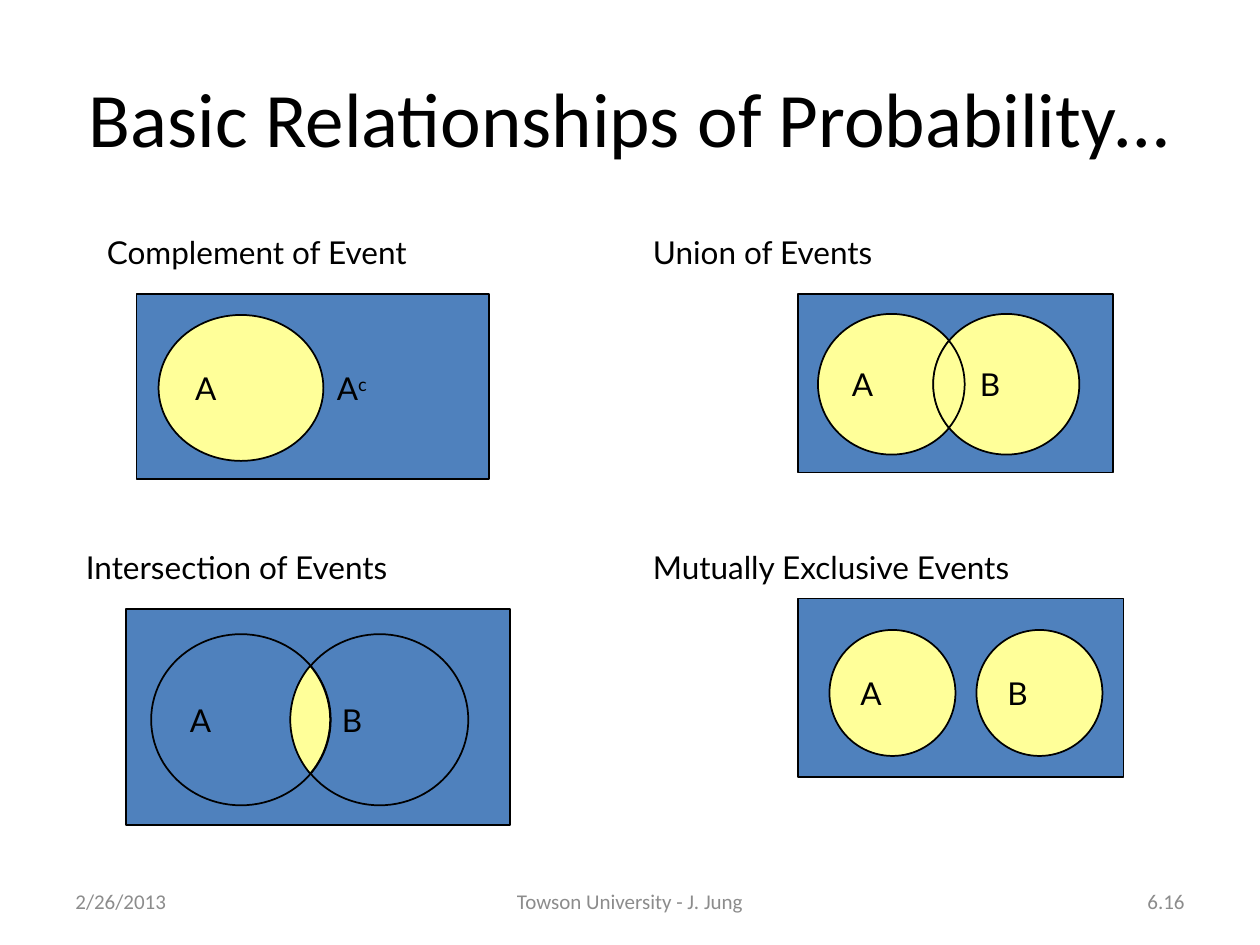
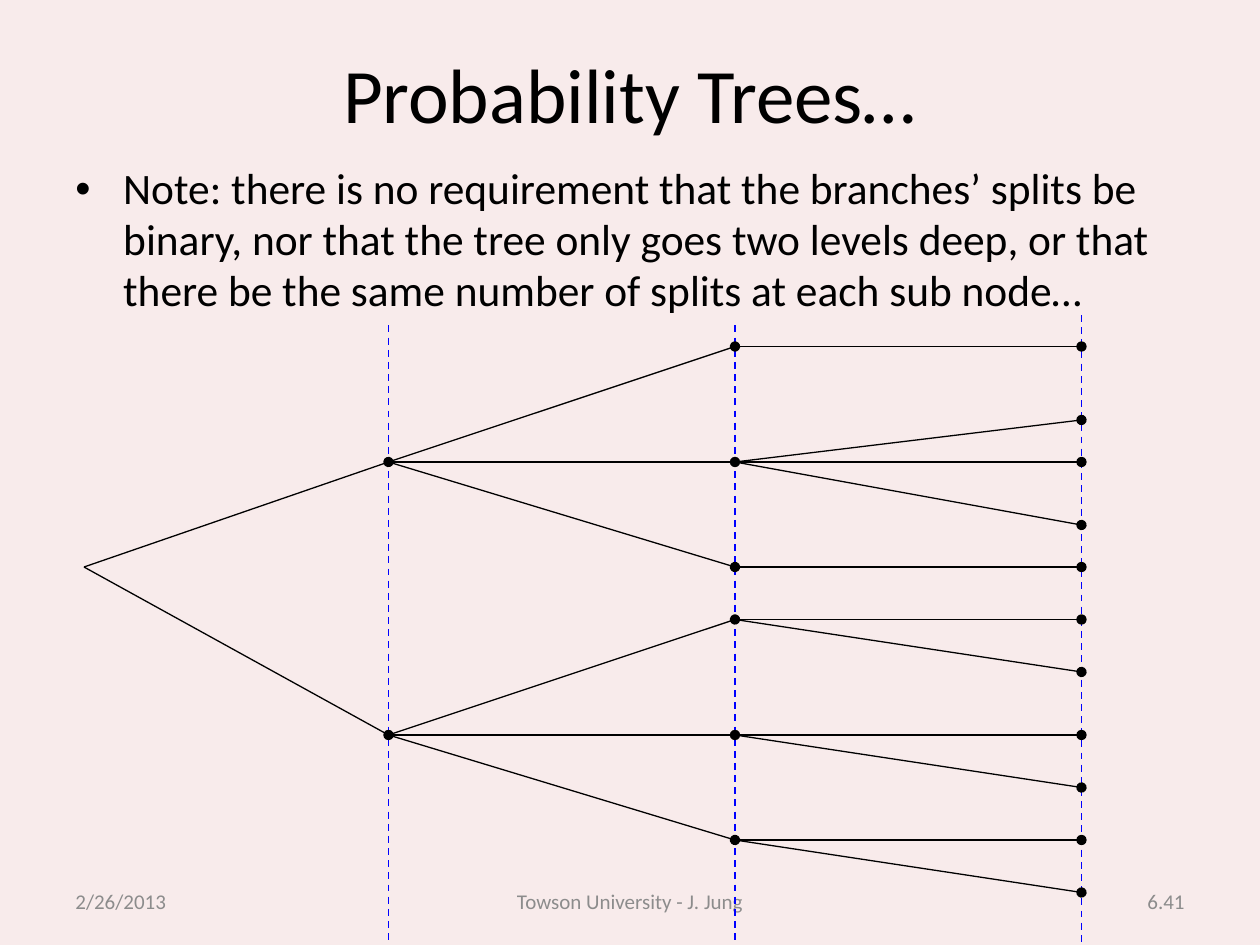
from dataclasses import dataclass
from math import acos, cos, pi, sin
from typing import NamedTuple, Optional

from lxml.etree import SubElement
from pptx import Presentation
from pptx.dml.color import RGBColor
from pptx.enum.dml import MSO_LINE
from pptx.enum.shapes import MSO_CONNECTOR, MSO_SHAPE
from pptx.enum.text import MSO_ANCHOR, PP_ALIGN
from pptx.oxml.ns import qn
from pptx.util import Inches, Pt

COLUMNS, ROWS = 120, 90
SLIDE_WIDTH, SLIDE_HEIGHT = Inches(10), Inches(7.5)


@dataclass(frozen=True)
class Theme:
    ink: str = "000000"
    muted: str = "8C8C8C"
    paper: str = "FFFFFF"
    blush: str = "F8EBEB"
    sample_space: str = "4F81BD"
    event: str = "FFFF99"
    level: str = "0000FF"
    main_font: str = "Calibri"
    label_font: str = "Lato"
    title_size: float = 44
    body_size: float = 24.8
    label_size: float = 18
    footer_size: float = 12
    outline: float = 1
    branch: float = 0.75


THEME = Theme()


class Box(NamedTuple):
    left: float
    top: float
    width: float
    height: float


class Event(NamedTuple):
    box: Box
    label: str
    fill: Optional[str] = THEME.event
    outlined: bool = True
    indent: float = 0
    superscript: str = ""


class Venn(NamedTuple):
    caption: str
    caption_box: Box
    space: Box
    events: tuple[Event, Event]
    overlapping: bool = False


class Branching(NamedTuple):
    row: float
    ends: tuple[float, ...]


class Level(NamedTuple):
    start: float
    end: float
    divider_top: float
    branchings: tuple[Branching, ...]


VENNS = (
    Venn("Complement of Event", Box(9, 21, 59, 6), Box(13, 28, 33.6, 17.6),
         (Event(Box(15.1, 30, 15.7, 13.9), "A"),
          Event(Box(27.4, 30, 15.6, 13.9), "A", None, False, 0.1, "c"))),
    Venn("Union of Events", Box(61, 21, 59, 6), Box(76, 28, 30, 17),
         (Event(Box(77.9, 29.9, 14, 13.4), "A"),
          Event(Box(88.9, 29.9, 13.9, 13.4), "B", indent=0.1)), True),
    Venn("Intersection of Events", Box(7, 51, 59, 6), Box(12, 58, 36.6, 20.6),
         (Event(Box(14.4, 60.4, 17.1, 16.3), "A", None),
          Event(Box(27.7, 60.4, 16.9, 16.3), "B", None, indent=0.1)), True),
    Venn("Mutually Exclusive Events", Box(61, 51, 59, 6), Box(76, 57, 31, 17),
         (Event(Box(79, 60, 12, 12), "A"), Event(Box(93, 60, 12, 12), "B"))),
)

TREE = (
    Level(8, 37, 31, (Branching(54, (44, 70)),)),
    Level(37, 70, 31, (Branching(44, (33, 44, 54)), Branching(70, (59, 70, 80)))),
    Level(70, 103, 30, (
        Branching(33, (33,)), Branching(44, (40, 44, 50)), Branching(54, (54,)),
        Branching(59, (59, 64)), Branching(70, (70, 75)), Branching(80, (80, 85)))),
)


def across(columns: float) -> int:
    return round(SLIDE_WIDTH * columns / COLUMNS)


def down(rows: float) -> int:
    return round(SLIDE_HEIGHT * rows / ROWS)


def place(box: Box) -> tuple[int, int, int, int]:
    return across(box.left), down(box.top), across(box.width), down(box.height)


def color(value: str) -> RGBColor:
    return RGBColor.from_string(value)


def write(holder, text: str, *, size: float, font: str = THEME.main_font,
          ink: str = THEME.ink, align=PP_ALIGN.LEFT, anchor=MSO_ANCHOR.MIDDLE,
          indent: float = 0, superscript: str = "", bullet: str = "") -> None:
    frame = holder.text_frame
    frame.word_wrap = True
    frame.vertical_anchor = anchor
    frame.margin_left = Inches(0.1 + indent)
    paragraph = frame.paragraphs[0]
    if bullet:
        properties = paragraph._p.get_or_add_pPr()
        properties.set("marL", str(Inches(0.38)))
        properties.set("indent", str(-Inches(0.38)))
        SubElement(properties, qn("a:buFont")).set("typeface", "Arial")
        SubElement(properties, qn("a:buChar")).set("char", bullet)
        paragraph.line_spacing = 0.98
    paragraph.alignment = align
    for part in filter(None, (text, superscript)):
        run = paragraph.add_run()
        run.text = part
        run.font.size = Pt(size)
        run.font.name = font
        run.font.color.rgb = color(ink)
    if superscript:
        run._r.get_or_add_rPr().set("baseline", "30000")


def add_text(slide, box: Box, text: str, **style) -> None:
    write(slide.shapes.add_textbox(*place(box)), text, **style)


def paint(shape, fill: Optional[str], outlined: bool = True) -> None:
    shape.shadow.inherit = False
    if fill:
        shape.fill.solid()
        shape.fill.fore_color.rgb = color(fill)
    else:
        shape.fill.background()
    if outlined:
        shape.line.color.rgb = color(THEME.ink)
        shape.line.width = Pt(THEME.outline)
    else:
        shape.line.fill.background()


def add_overlap(shapes, first: Box, second: Box) -> None:
    radius_x = (first.width + second.width) / 4
    radius_y = first.height / 2
    first_x = first.left + first.width / 2
    second_x = second.left + second.width / 2
    middle_y = first.top + radius_y
    reach = acos((second_x - first_x) / 2 / radius_x)
    steps = 24
    outline = [
        (across(center + radius_x * cos(angle)), down(middle_y + radius_y * sin(angle)))
        for center, facing in ((first_x, 0), (second_x, pi))
        for angle in (facing + reach * (2 * step / steps - 1) for step in range(steps))
    ]
    builder = shapes.build_freeform(*outline[0])
    builder.add_line_segments(outline[1:], close=True)
    paint(builder.convert_to_shape(), THEME.event)


def add_venn(slide, venn: Venn) -> None:
    add_text(slide, venn.caption_box, venn.caption,
             size=THEME.label_size, font=THEME.label_font)
    shapes = slide.shapes.add_group_shape().shapes
    paint(shapes.add_shape(MSO_SHAPE.RECTANGLE, *place(venn.space)), THEME.sample_space)
    for event in venn.events:
        oval = shapes.add_shape(MSO_SHAPE.OVAL, *place(event.box))
        paint(oval, event.fill, event.outlined)
        write(oval, event.label, size=THEME.label_size, font=THEME.label_font,
              indent=event.indent, superscript=event.superscript)
    if venn.overlapping:
        add_overlap(shapes, *(event.box for event in venn.events))


def add_line(slide, start: tuple[float, float], end: tuple[float, float], *,
             ink: str, width: float, dashed: bool = False, node: bool = False) -> None:
    line = slide.shapes.add_connector(
        MSO_CONNECTOR.STRAIGHT, across(start[0]), down(start[1]),
        across(end[0]), down(end[1]))
    line.line.color.rgb = color(ink)
    line.line.width = Pt(width)
    if dashed:
        line.line.dash_style = MSO_LINE.DASH
    properties = line._element.spPr
    if node:
        SubElement(properties.find(qn("a:ln")), qn("a:tailEnd")).set("type", "oval")
    SubElement(properties, qn("a:effectLst"))


def add_level(slide, level: Level) -> None:
    add_line(slide, (level.end, level.divider_top), (level.end, ROWS),
             ink=THEME.level, width=THEME.outline, dashed=True)
    for branching in level.branchings:
        for row in branching.ends:
            add_line(slide, (level.start, branching.row), (level.end, row),
                     ink=THEME.ink, width=THEME.branch, node=True)


def add_slide(deck, title: str, title_height: float, number: str, background: str):
    slide = deck.slides.add_slide(deck.slide_layouts[6])
    slide.background.fill.solid()
    slide.background.fill.fore_color.rgb = color(background)
    add_text(slide, Box(6, 3.6, 108, title_height), title,
             size=THEME.title_size, align=PP_ALIGN.CENTER)
    footers = (
        (6, 28, "2/26/2013", PP_ALIGN.LEFT),
        (41, 38, "Towson University - J. Jung", PP_ALIGN.CENTER),
        (86, 28, number, PP_ALIGN.RIGHT),
    )
    for left, width, text, align in footers:
        add_text(slide, Box(left, 83.4, width, 4.8), text,
                 size=THEME.footer_size, ink=THEME.muted, align=align)
    return slide


def main() -> None:
    deck = Presentation()
    deck.slide_width, deck.slide_height = SLIDE_WIDTH, SLIDE_HEIGHT

    relationships = add_slide(
        deck, "Basic Relationships of Probability…", 15, "6.16", THEME.paper)
    for venn in VENNS:
        add_venn(relationships, venn)

    trees = add_slide(deck, "Probability Trees…", 10.4, "6.41", THEME.blush)
    add_text(trees, Box(6, 15, 108, 18),
             "Note: there is no requirement that the branches’ splits be binary, "
             "nor that the tree only goes two levels deep, or that there be the "
             "same number of splits at each sub node…",
             size=THEME.body_size, anchor=MSO_ANCHOR.TOP, bullet="•")
    for level in TREE:
        add_level(trees, level)

    deck.save("out.pptx")


if __name__ == "__main__":
    main()
